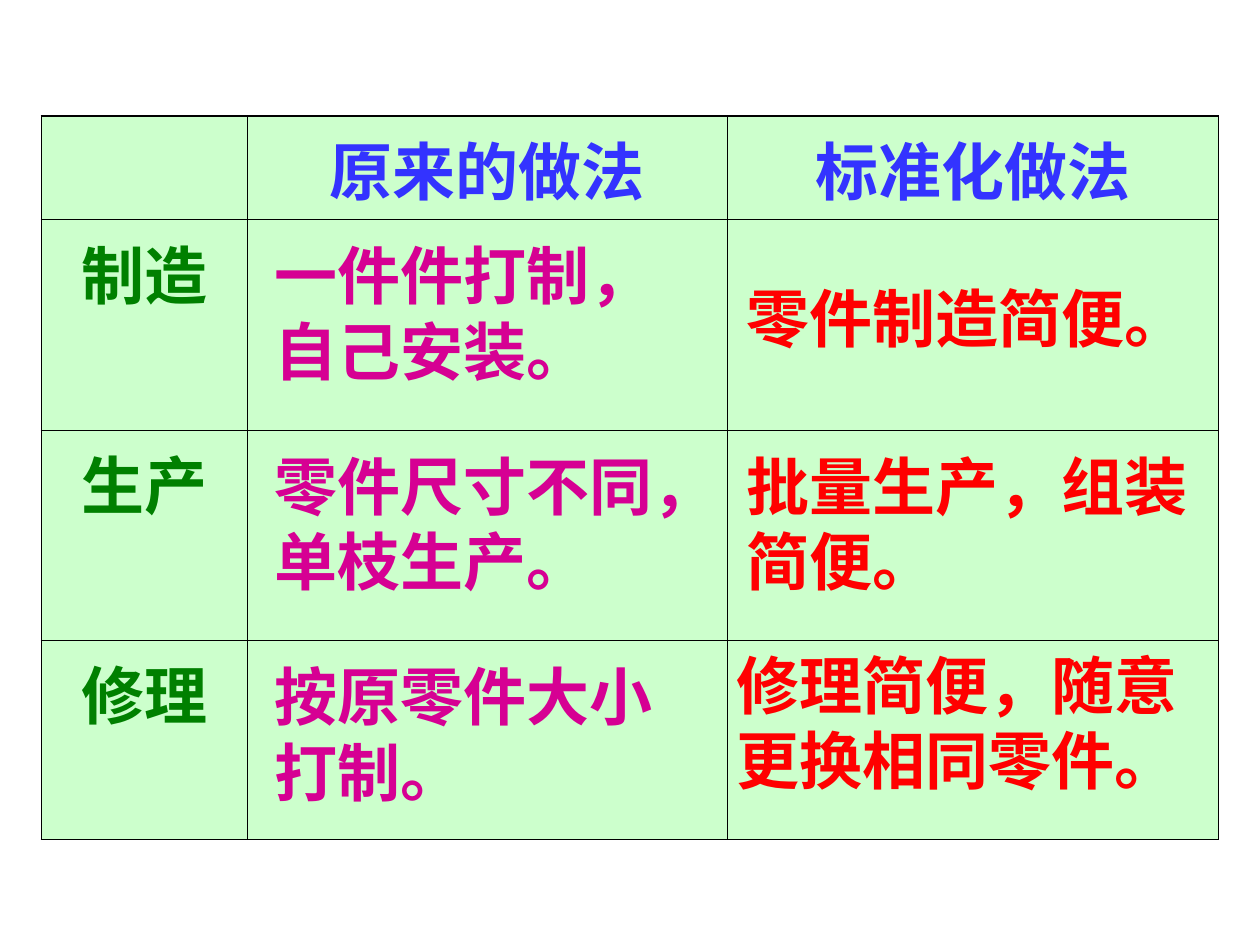
import dataclasses

import lxml.etree
import pptx
import pptx.dml.color
import pptx.enum.text
import pptx.oxml.ns
import pptx.util

Inches = pptx.util.Inches
Pt = pptx.util.Pt


@dataclasses.dataclass(frozen=True)
class Theme:
    font: str = "Arial"
    size: float = 36
    cell: str = "CCFFCC"
    rule: str = "000000"
    heading: str = "3333FF"
    stage: str = "008000"
    original: str = "D60093"
    standard: str = "FF0000"
    outer_rule: float = 1.08
    inner_rule: float = 0.45


THEME = Theme()
COLUMN_WIDTHS = [1.63, 3.81, 3.9]
ROW_HEIGHTS = [0.75, 1.67, 1.67, 1.58]
HEADINGS = ["原来的做法", "标准化做法"]
STAGES = ["制造", "生产", "修理"]
PRACTICES = [
    ("一件件打制，自己安装。", (2.08, 1.83, 3.58, 1.3), THEME.original),
    ("零件尺寸不同，单枝生产。", (2.08, 3.5, 3.75, 1.3), THEME.original),
    ("按原零件大小打制。", (2.08, 5.17, 3.5, 1.3), THEME.original),
    ("零件制造简便。", (5.83, 2.17, 3.75, 0.7), THEME.standard),
    ("批量生产，组装简便。", (5.83, 3.5, 3.75, 1.3), THEME.standard),
    ("修理简便，随意更换相同零件。", (5.75, 5.08, 3.83, 1.3), THEME.standard),
]


def apply_format(target, values):
    for name, value in values.items():
        setattr(target, name, value)


def write_text(paragraph, text, color):
    run = paragraph.add_run()
    run.text = text
    apply_format(run.font, {"name": THEME.font, "size": Pt(THEME.size), "bold": True})
    run.font.color.rgb = pptx.dml.color.RGBColor.from_string(color)


def set_borders(cell, widths):
    qn = pptx.oxml.ns.qn
    properties = cell._tc.get_or_add_tcPr()
    for position, (side, width) in enumerate(widths.items()):
        line = lxml.etree.Element(qn(f"a:ln{side}"), w=str(int(Pt(width))))
        fill = lxml.etree.SubElement(line, qn("a:solidFill"))
        lxml.etree.SubElement(fill, qn("a:srgbClr"), val=THEME.rule)
        properties.insert(position, line)


def style_cell(cell, row, column):
    cell.fill.solid()
    cell.fill.fore_color.rgb = pptx.dml.color.RGBColor.from_string(THEME.cell)
    edges = {
        "L": column == 0,
        "R": column == len(COLUMN_WIDTHS) - 1,
        "T": row == 0,
        "B": row == len(ROW_HEIGHTS) - 1,
    }
    set_borders(cell, {
        side: THEME.outer_rule if outer else THEME.inner_rule
        for side, outer in edges.items()
    })


def write_label(cell, text, color):
    paragraph = cell.text_frame.paragraphs[0]
    paragraph.alignment = pptx.enum.text.PP_ALIGN.CENTER
    write_text(paragraph, text, color)


def add_comparison_grid(slide, box):
    frame = slide.shapes.add_table(
        len(ROW_HEIGHTS), len(COLUMN_WIDTHS), *map(Inches, box)
    )
    grid = frame.table
    apply_format(grid, {"first_row": False, "horz_banding": False})
    for column, width in zip(grid.columns, COLUMN_WIDTHS):
        column.width = Inches(width)
    for row, height in zip(grid.rows, ROW_HEIGHTS):
        row.height = Inches(height)
    for row in range(len(ROW_HEIGHTS)):
        for column in range(len(COLUMN_WIDTHS)):
            style_cell(grid.cell(row, column), row, column)
    for column, heading in enumerate(HEADINGS, 1):
        write_label(grid.cell(0, column), heading, THEME.heading)
    for row, stage in enumerate(STAGES, 1):
        write_label(grid.cell(row, 0), stage, THEME.stage)


def add_practice(slide, text, box, color):
    frame = slide.shapes.add_textbox(*map(Inches, box)).text_frame
    apply_format(frame, {
        "word_wrap": True,
        "auto_size": pptx.enum.text.MSO_AUTO_SIZE.SHAPE_TO_FIT_TEXT,
    })
    write_text(frame.paragraphs[0], text, color)


def main():
    deck = pptx.Presentation()
    apply_format(deck, {"slide_width": Inches(10), "slide_height": Inches(7.5)})
    slide = deck.slides.add_slide(deck.slide_layouts[6])
    add_comparison_grid(slide, (0.33, 0.92, sum(COLUMN_WIDTHS), sum(ROW_HEIGHTS)))
    for text, box, color in PRACTICES:
        add_practice(slide, text, box, color)
    deck.save("out.pptx")


if __name__ == "__main__":
    main()
